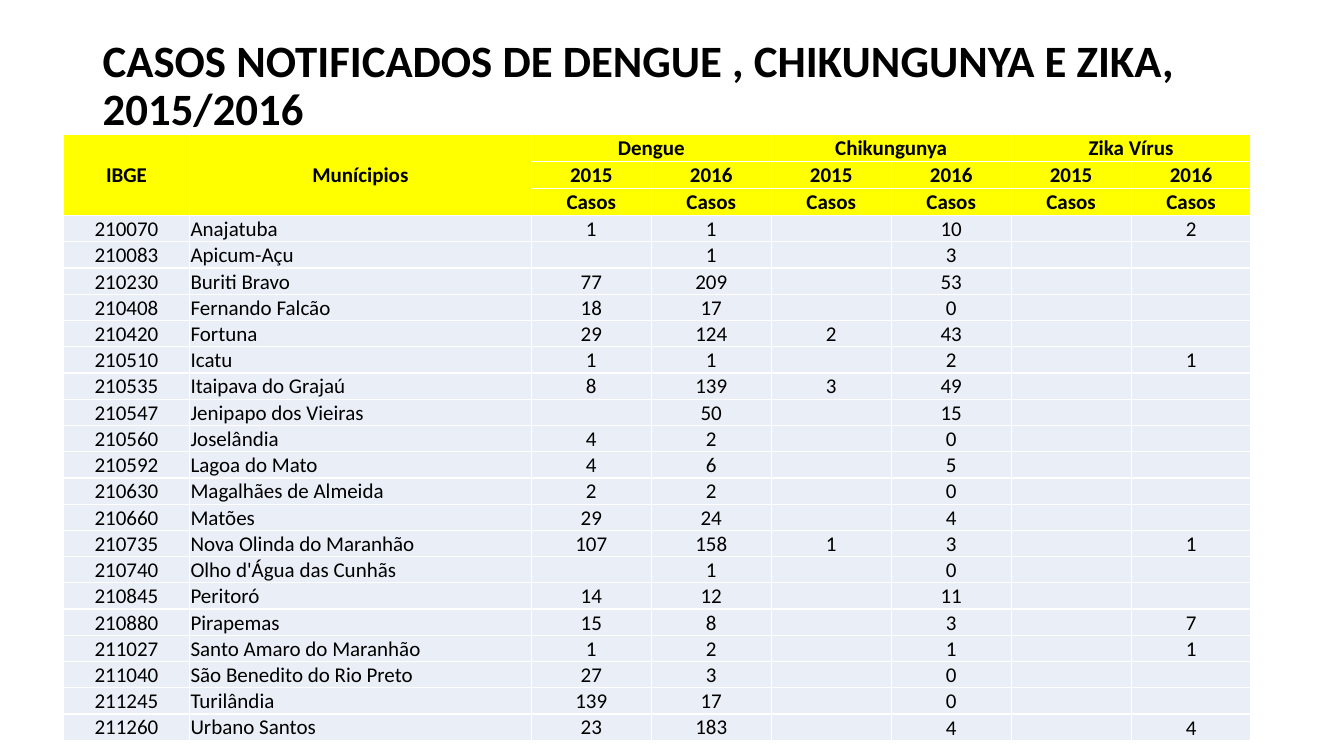
from dataclasses import dataclass

from lxml import etree
from pptx import Presentation
from pptx.dml.color import RGBColor
from pptx.enum import text
from pptx.oxml import ns
from pptx.util import Inches, Pt


@dataclass(frozen=True)
class Theme:
    font: str = "Calibri"
    ink: str = "000000"
    head: str = "FFFF00"
    body: str = "EAEFF7"
    rule: str = "FFFFFF"
    title: int = 32
    cell: int = 15


THEME = Theme()
TITLE = "CASOS NOTIFICADOS DE DENGUE , CHIKUNGUNYA E ZIKA, 2015/2016"
WIDTHS = [1.25, 3.39] + [1.19] * 6
HEAD_ROWS, HEAD_H, BODY_H = 3, 0.27, 0.25
HEADS = [
    ("IBGE", "Munícipios", "Dengue", "", "Chikungunya", "", "Zika Vírus", ""),
    ("", "") + ("2015", "2016") * 3,
    ("", "") + ("Casos",) * 6,
]
CASES = [
    ("210070", "Anajatuba", "1", "1", "", "10", "", "2"),
    ("210083", "Apicum-Açu", "", "1", "", "3", "", ""),
    ("210230", "Buriti Bravo", "77", "209", "", "53", "", ""),
    ("210408", "Fernando Falcão", "18", "17", "", "0", "", ""),
    ("210420", "Fortuna", "29", "124", "2", "43", "", ""),
    ("210510", "Icatu", "1", "1", "", "2", "", "1"),
    ("210535", "Itaipava do Grajaú", "8", "139", "3", "49", "", ""),
    ("210547", "Jenipapo dos Vieiras", "", "50", "", "15", "", ""),
    ("210560", "Joselândia", "4", "2", "", "0", "", ""),
    ("210592", "Lagoa do Mato", "4", "6", "", "5", "", ""),
    ("210630", "Magalhães de Almeida", "2", "2", "", "0", "", ""),
    ("210660", "Matões", "29", "24", "", "4", "", ""),
    ("210735", "Nova Olinda do Maranhão", "107", "158", "1", "3", "", "1"),
    ("210740", "Olho d'Água das Cunhãs", "", "1", "", "0", "", ""),
    ("210845", "Peritoró", "14", "12", "", "11", "", ""),
    ("210880", "Pirapemas", "15", "8", "", "3", "", "7"),
    ("211027", "Santo Amaro do Maranhão", "1", "2", "", "1", "", "1"),
    ("211040", "São Benedito do Rio Preto", "27", "3", "", "0", "", ""),
    ("211245", "Turilândia", "139", "17", "", "0", "", ""),
    ("211260", "Urbano Santos", "23", "183", "", "4", "", "4"),
]


def add_run(para, words, size, bold):
    run = para.add_run()
    run.text = words
    run.font.name = THEME.font
    run.font.size = Pt(size)
    run.font.bold = bold
    run.font.color.rgb = RGBColor.from_string(THEME.ink)


def add_title(slide):
    box = slide.shapes.add_textbox(
        Inches(0.92), Inches(0.4), Inches(11.5), Inches(0.93))
    frame = box.text_frame
    frame.word_wrap = True
    frame.vertical_anchor = text.MSO_ANCHOR.MIDDLE
    para = frame.paragraphs[0]
    para.line_spacing = 0.9
    add_run(para, TITLE, THEME.title, True)


def set_rules(cell):
    props = cell._tc.get_or_add_tcPr()
    for side in ("a:lnL", "a:lnR", "a:lnT", "a:lnB"):
        line = etree.SubElement(props, ns.qn(side), w=str(Pt(1)))
        fill = etree.SubElement(line, ns.qn("a:solidFill"))
        etree.SubElement(fill, ns.qn("a:srgbClr"), val=THEME.rule)


def fill_cell(cell, words, row, col):
    head = row < HEAD_ROWS
    set_rules(cell)
    cell.fill.solid()
    cell.fill.fore_color.rgb = RGBColor.from_string(
        THEME.head if head else THEME.body)
    cell.margin_left = cell.margin_right = cell.margin_top = Inches(0.01)
    cell.margin_bottom = 0
    middle = col > 3 or (head and col < 2)
    cell.vertical_anchor = (
        text.MSO_ANCHOR.MIDDLE if middle else text.MSO_ANCHOR.BOTTOM)
    para = cell.text_frame.paragraphs[0]
    left = col == 1 and not head
    para.alignment = text.PP_ALIGN.LEFT if left else text.PP_ALIGN.CENTER
    if words:
        add_run(para, words, THEME.cell, head)
    else:
        # An empty cell keeps the row height of its neighbours.
        etree.SubElement(
            para._p, ns.qn("a:endParaRPr"), sz=str(THEME.cell * 100))


def add_cases(slide):
    rows = HEADS + CASES
    heights = [HEAD_H] * HEAD_ROWS + [BODY_H] * len(CASES)
    table = slide.shapes.add_table(
        len(rows), len(WIDTHS), Inches(0.63), Inches(1.33),
        Inches(sum(WIDTHS)), Inches(sum(heights))).table
    table.horz_banding = False
    for col, width in zip(table.columns, WIDTHS):
        col.width = Inches(width)
    for row, height in zip(table.rows, heights):
        row.height = Inches(height)
    for r, row in enumerate(rows):
        for c, words in enumerate(row):
            fill_cell(table.cell(r, c), words, r, c)
    for c in (0, 1):
        table.cell(0, c).merge(table.cell(HEAD_ROWS - 1, c))
    for c in (2, 4, 6):
        table.cell(0, c).merge(table.cell(0, c + 1))


def main():
    deck = Presentation()
    deck.slide_width, deck.slide_height = Inches(13.33), Inches(7.5)
    slide = deck.slides.add_slide(deck.slide_layouts[6])
    add_title(slide)
    add_cases(slide)
    deck.save("out.pptx")


if __name__ == "__main__":
    main()
